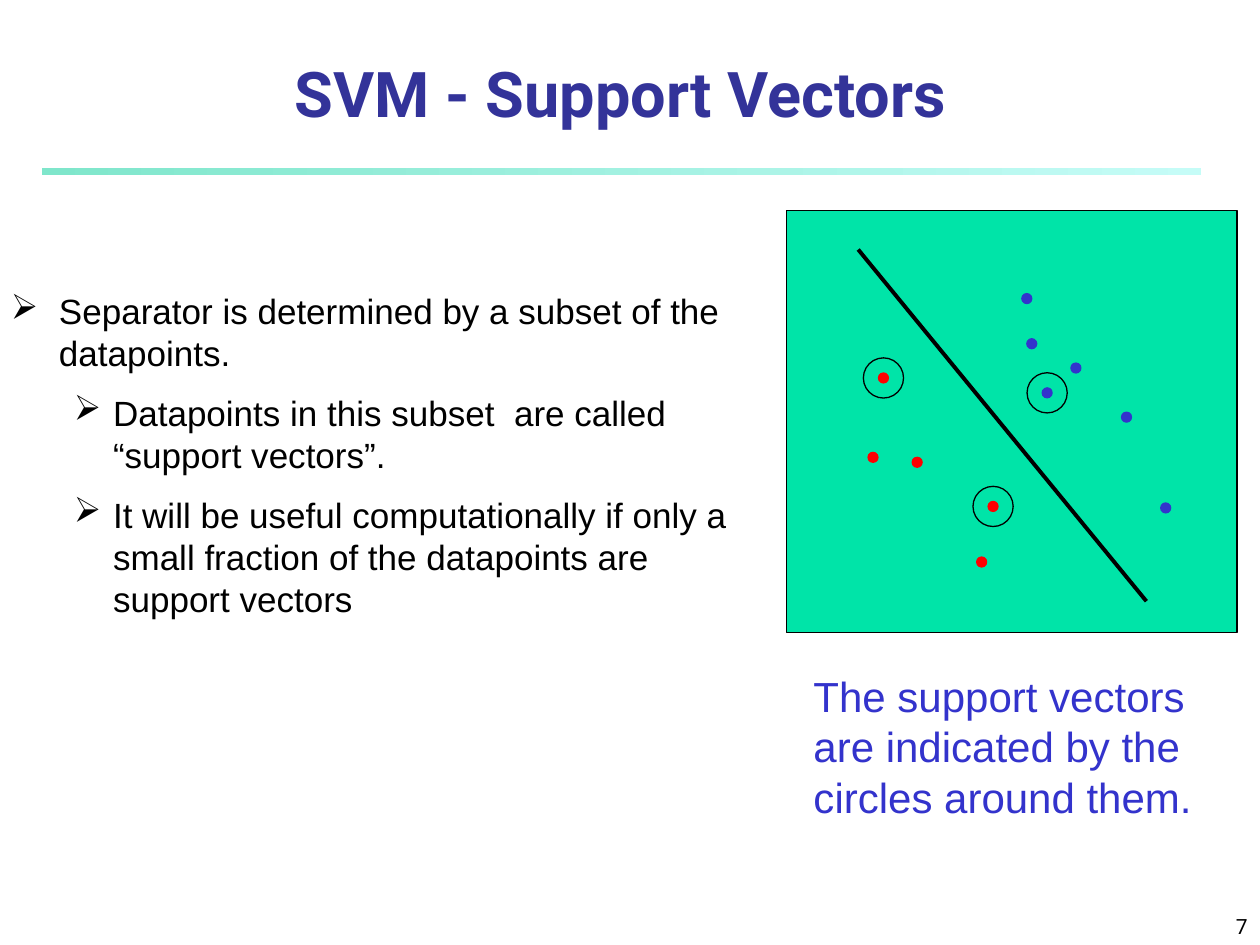
from pptx import Presentation
from pptx.dml.color import RGBColor
from pptx.enum.shapes import MSO_CONNECTOR, MSO_SHAPE
from pptx.enum.text import MSO_ANCHOR, PP_ALIGN
from pptx.oxml.ns import qn
from pptx.util import Cm, Pt

RECT = MSO_SHAPE.RECTANGLE
OVAL = MSO_SHAPE.OVAL
LINE = MSO_CONNECTOR.STRAIGHT
TOP, BOTTOM = MSO_ANCHOR.TOP, MSO_ANCHOR.BOTTOM
LEFT, CENTER, RIGHT = PP_ALIGN.LEFT, PP_ALIGN.CENTER, PP_ALIGN.RIGHT

BLACK, RED, BLUE, NAVY, GREEN = "000000", "FF0000", "3333CC", "333399", "00E4A8"
FADE = ("7FE6CB", "C5FCF7")
DOT, RING = 0.2, 0.81

REDS = [(17.81, 7.62), (17.6, 9.22), (18.49, 9.32), (20.02, 10.21), (19.79, 11.33)]
BLUES = [(20.7, 6.02), (20.8, 6.93), (21.69, 7.42),
         (21.11, 7.92), (22.71, 8.41), (23.5, 10.24)]
SUPPORT = [REDS[0], BLUES[3], REDS[3]]

POINTS = [
    (0, "Separator is determined by a subset of the datapoints."),
    (1, "Datapoints in this subset  are called “support vectors”."),
    (1, "It will be useful computationally if only a small fraction "
        "of the datapoints are support vectors"),
]
INDENTS = [(0.97, -0.97), (2.06, -0.79)]
BULLET = [
    ("a:buFont", {"typeface": "Wingdings", "pitchFamily": "2", "charset": "2"}),
    ("a:buChar", {"char": "Ø"}),
]


def color(code):
    return RGBColor.from_string(code)


def add_shape(slide, kind, box, fill=None, line=None):
    shape = slide.shapes.add_shape(kind, *map(Cm, box))
    shape.shadow.inherit = False
    if fill:
        shape.fill.solid()
        shape.fill.fore_color.rgb = color(fill)
    else:
        shape.fill.background()
    if line:
        shape.line.color.rgb = color(line)
        shape.line.width = Pt(0.75)
    else:
        shape.line.fill.background()
    return shape


def add_disc(slide, spot, size, fill, line):
    x, y = spot
    add_shape(slide, OVAL, (x - size / 2, y - size / 2, size, size), fill, line)


def add_rule(slide, box):
    rule = add_shape(slide, RECT, box)
    rule.fill.gradient()
    rule.fill.gradient_angle = 0
    for stop, code in zip(rule.fill.gradient_stops, FADE):
        stop.color.rgb = color(code)


def add_line(slide, start, end):
    line = slide.shapes.add_connector(LINE, *map(Cm, start + end))
    line.line.color.rgb = color(BLACK)
    line.line.width = Pt(2.25)
    props = line._element.spPr
    props.append(props.makeelement(qn("a:effectLst"), {}))


def add_frame(slide, box, anchor=TOP):
    frame = slide.shapes.add_textbox(*map(Cm, box)).text_frame
    frame.word_wrap = True
    frame.vertical_anchor = anchor
    return frame


def set_text(para, text, size, face="Arial", code=BLACK, bold=False, align=LEFT):
    para.text = text
    para.alignment = align
    font = para.font
    font.name, font.size, font.bold = face, Pt(size), bold
    font.color.rgb = color(code)


def set_bullet(para, level):
    left, hang = INDENTS[level]
    para.level = level
    props = para._p.get_or_add_pPr()
    props.set("marL", str(Cm(left)))
    props.set("indent", str(Cm(hang)))
    for tag, attrs in BULLET:
        mark = props.makeelement(qn(tag), attrs)
        props.insert_element_before(mark, "a:tabLst", "a:defRPr", "a:extLst")


def add_points(slide, box):
    frame = add_frame(slide, box)
    for i, (level, text) in enumerate(POINTS):
        para = frame.add_paragraph() if i else frame.paragraphs[0]
        set_text(para, text, 20)
        para.space_before = Pt(10 if level else 0)
        set_bullet(para, level)


def add_plot(slide):
    add_shape(slide, RECT, (15.85, 4.24, 9.09, 8.51), GREEN, BLACK)
    add_line(slide, (17.3, 5.03), (23.11, 12.12))
    for spots, code in ((REDS, RED), (BLUES, BLUE)):
        for spot in spots:
            add_disc(slide, spot, DOT, code, code)
    for spot in SUPPORT:
        add_disc(slide, spot, RING, None, BLACK)


def main():
    deck = Presentation()
    deck.slide_width, deck.slide_height = Cm(25.4), Cm(19.05)
    slide = deck.slides.add_slide(deck.slide_layouts[6])

    add_rule(slide, (0.84, 3.38, 23.37, 0.15))
    title = add_frame(slide, (0.84, 1.05, 23.34, 1.7), BOTTOM)
    set_text(title.paragraphs[0], "SVM - Support Vectors", 36, "Roboto",
             NAVY, True, CENTER)
    add_points(slide, (-0.03, 5.72, 15.16, 7.24))
    add_plot(slide)
    note = add_frame(slide, (16.15, 13.39, 8.92, 3.3))
    set_text(note.paragraphs[0], "The support vectors are indicated by "
             "the circles around them.", 24, code=BLUE)
    number = add_frame(slide, (20.12, 17.98, 5.28, 1.07), BOTTOM)
    set_text(number.paragraphs[0], "7", 12, "Roboto", align=RIGHT)

    deck.save("out.pptx")


if __name__ == "__main__":
    main()
